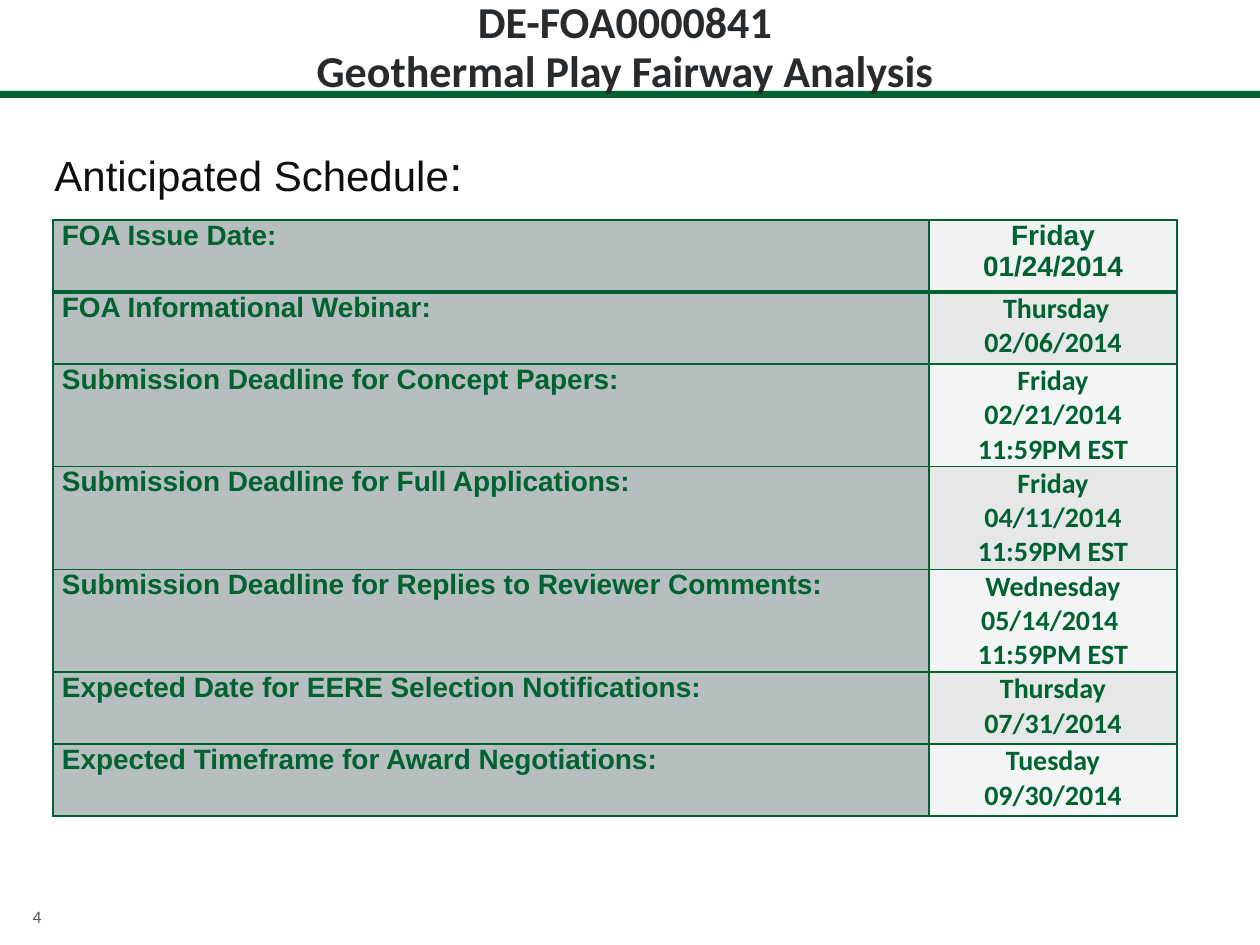
from dataclasses import dataclass

from lxml.etree import SubElement
from pptx import Presentation
from pptx.dml.color import RGBColor as RGB
from pptx.enum.shapes import MSO_SHAPE as Shape
from pptx.enum.text import MSO_ANCHOR as Anchor, MSO_AUTO_SIZE as AutoSize, PP_ALIGN as Align
from pptx.oxml.ns import qn
from pptx.util import Emu, Pt

PX_PER_INCH = 126


@dataclass(frozen=True)
class Theme:
    green: str = "006231"
    title: str = "282B2E"
    heading: str = "0E0F10"
    page: str = "50565C"
    label_fill: str = "B7BEBF"
    first_fill: str = "F1F2F2"
    odd_fill: str = "E6E8E8"
    even_fill: str = "F3F4F4"
    sans: str = "Arial"
    humanist: str = "Calibri"
    title_size: float = 25.2
    title_spacing: int = 28
    heading_size: int = 24
    colon_size: int = 28
    table_size: int = 16
    page_size: int = 10


THEME = Theme()

SCHEDULE = [
    ("FOA Issue Date:", "Friday\n01/24/2014"),
    ("FOA Informational Webinar:", " Thursday\n02/06/2014"),
    ("Submission Deadline for Concept Papers:", "Friday\n02/21/2014 11:59PM EST"),
    ("Submission Deadline for Full Applications:", "Friday\n04/11/2014 11:59PM EST"),
    ("Submission Deadline for Replies to Reviewer Comments:",
     "Wednesday\n05/14/2014 \n11:59PM EST"),
    ("Expected Date for EERE Selection Notifications:", "Thursday\n07/31/2014"),
    ("Expected Timeframe for Award Negotiations:", "Tuesday\n09/30/2014"),
]


def px(length):
    return Emu(round(length * 914400 / PX_PER_INCH))


def box(*lengths):
    return [px(length) for length in lengths]


def style_run(run, face, size, color, bold=False):
    run.font.name = face
    run.font.size = Pt(size)
    run.font.bold = bold
    run.font.color.rgb = RGB.from_string(color)


def add_rule(slide):
    left = 0
    for width in (630, 174, 456):
        segment = slide.shapes.add_shape(Shape.RECTANGLE, *box(left, 91, width, 7))
        segment.shadow.inherit = False
        segment.fill.solid()
        segment.fill.fore_color.rgb = RGB.from_string(THEME.green)
        segment.line.fill.background()
        left += width


def set_title(slide, text):
    title = slide.shapes.title
    title.left, title.top, title.width, title.height = box(0, 0, 1250, 94)
    frame = title.text_frame
    frame.text = text
    frame.auto_size = AutoSize.NONE
    frame.vertical_anchor = Anchor.MIDDLE
    paragraph = frame.paragraphs[0]
    paragraph.alignment = Align.CENTER
    paragraph.line_spacing = Pt(THEME.title_spacing)
    for run in paragraph.runs:
        style_run(run, THEME.humanist, THEME.title_size, THEME.title, True)
    slide.shapes._spTree.append(title._element)


def add_text(slide, bounds, pieces, face, color, align=Align.LEFT):
    frame = slide.shapes.add_textbox(*box(*bounds)).text_frame
    frame.word_wrap = True
    paragraph = frame.paragraphs[0]
    paragraph.alignment = align
    for text, size in pieces:
        run = paragraph.add_run()
        run.text = text
        style_run(run, face, size, color)


def set_borders(cell, top, bottom):
    properties = cell._tc.get_or_add_tcPr()
    for side, width in (("L", 1), ("R", 1), ("T", top), ("B", bottom)):
        line = SubElement(properties, qn(f"a:ln{side}"), w=str(Pt(width)))
        fill = SubElement(line, qn("a:solidFill"))
        SubElement(fill, qn("a:srgbClr"), val=THEME.green)


def fill_cell(cell, text, face, fill, align):
    cell.margin_left = cell.margin_right = px(9)
    cell.margin_top = cell.margin_bottom = 0
    cell.fill.solid()
    cell.fill.fore_color.rgb = RGB.from_string(fill)
    cell.text_frame.text = text
    for paragraph in cell.text_frame.paragraphs:
        paragraph.alignment = align
        for run in paragraph.runs:
            style_run(run, face, THEME.table_size, THEME.green, True)


def add_schedule(slide):
    row_height = 72
    widths = (876, 248)
    table = slide.shapes.add_table(
        len(SCHEDULE), len(widths),
        *box(53, 220, sum(widths), row_height * len(SCHEDULE))).table
    for column, width in zip(table.columns, widths):
        column.width = px(width)
    for index, (milestone, date) in enumerate(SCHEDULE):
        table.rows[index].height = px(row_height)
        date_face = THEME.humanist if index else THEME.sans
        date_fill = THEME.odd_fill if index % 2 else THEME.even_fill
        if index == 0:
            date_fill = THEME.first_fill
        label_cell, date_cell = table.cell(index, 0), table.cell(index, 1)
        for cell in (label_cell, date_cell):
            set_borders(cell, 3 if index == 1 else 1, 3 if index == 0 else 1)
        fill_cell(label_cell, milestone, THEME.sans, THEME.label_fill, Align.LEFT)
        fill_cell(date_cell, date, date_face, date_fill, Align.CENTER)


def main():
    deck = Presentation()
    deck.slide_width, deck.slide_height = box(1260, 945)
    slide = deck.slides.add_slide(deck.slide_layouts[5])
    add_rule(slide)
    add_text(slide, (6, 900, 62, 33), [("4", THEME.page_size)],
             THEME.humanist, THEME.page, Align.CENTER)
    set_title(slide, "DE-FOA0000841\vGeothermal Play Fairway Analysis")
    add_schedule(slide)
    add_text(slide, (42, 136, 1113, 72),
             [("Anticipated Schedule", THEME.heading_size), (":", THEME.colon_size)],
             THEME.sans, THEME.heading)
    deck.save("out.pptx")


if __name__ == "__main__":
    main()
